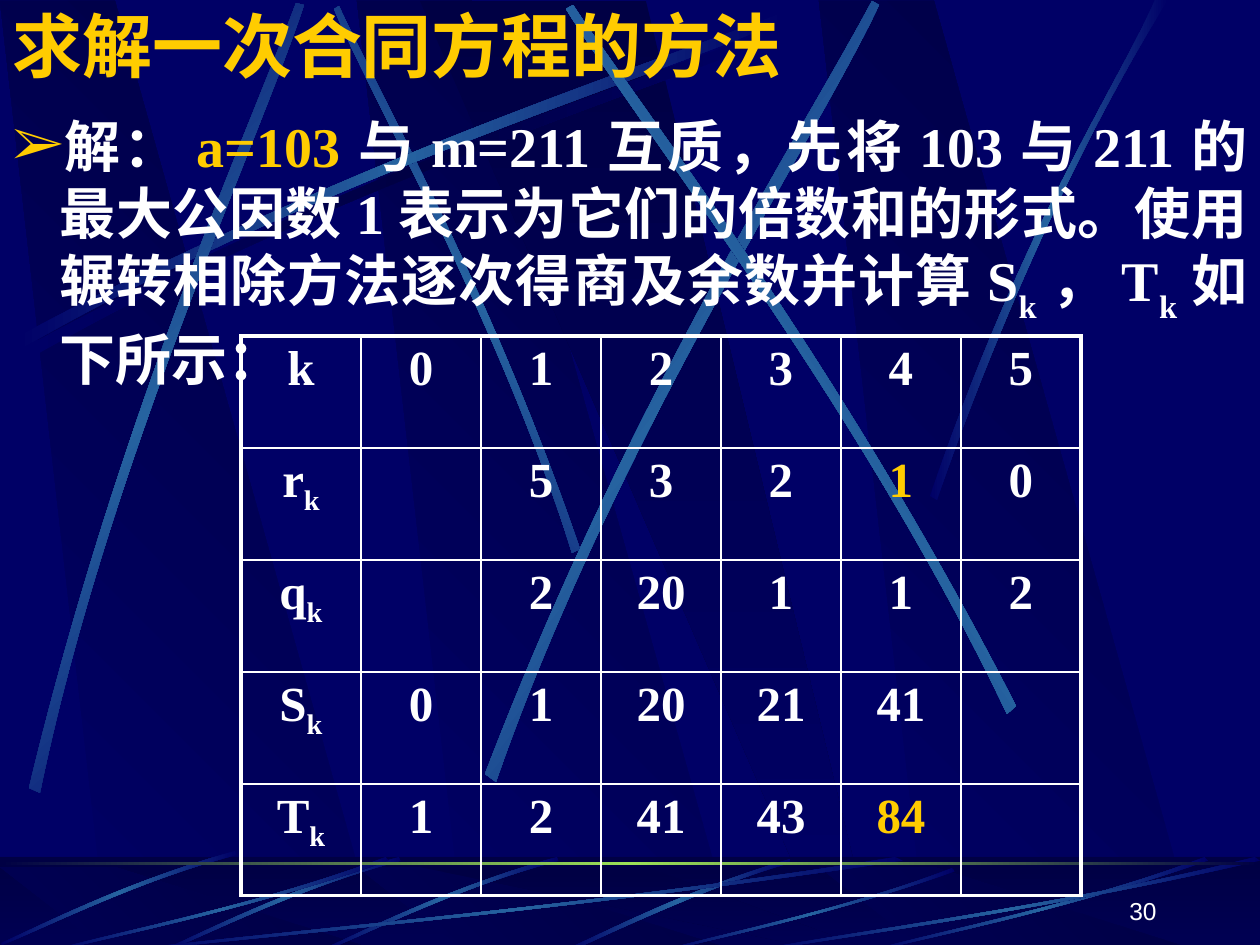
from dataclasses import dataclass
from typing import NamedTuple

import lxml.etree
import pptx
import pptx.dml.color
import pptx.enum.shapes
import pptx.enum.text
import pptx.oxml.ns
import pptx.util

EMU_PER_PX = 914400 / 126
COLORS = {"navy": "000066", "dark": "000044", "blue": "2663A0", "lime": "9CE157",
          "gold": "FFCC00", "white": "FFFFFF"}
SERIF = "Times New Roman"
SANS = "Noto Sans CJK SC"
DUSK = ("navy", "dark")
GLOW = ("navy", "blue", "navy")
ALIGN = pptx.enum.text.PP_ALIGN
ANCHOR = pptx.enum.text.MSO_ANCHOR
qn = pptx.oxml.ns.qn


class Box(NamedTuple):
    left: int
    top: int
    width: int
    height: int


class Piece(NamedTuple):
    text: str
    color: str = "white"
    baseline: int = 0


@dataclass
class Ribbon:
    outer: list
    inner: list
    angle: float = 0
    colors: tuple = GLOW

    def moved(self, dx: int, dy: int, colors: tuple = GLOW) -> "Ribbon":
        outer, inner = ([(x + dx, y + dy) for x, y in side] for side in (self.outer, self.inner))
        return Ribbon(outer, inner, self.angle, colors)


HIGH_BEAM = Ribbon([(25, 347), (358, 169), (660, 74), (789, 23)],
                   [(793, 30), (665, 87), (320, 190), (29, 359)], 0, ("navy", "dark", "navy"))
BEAMS = [
    HIGH_BEAM,
    Ribbon([(580, 549), (493, 295), (381, 97), (339, 6)],
           [(334, 9), (372, 100), (501, 325), (572, 553)], 315),
    HIGH_BEAM.moved(-8, -10),
    Ribbon([(29, 788), (117, 421), (248, 132), (296, 3)],
           [(304, 5), (261, 137), (108, 464), (40, 793)], 48.3),
    Ribbon([(485, 774), (627, 403), (804, 129), (872, 1)],
           [(879, 5), (818, 136), (612, 447), (496, 782)], 38.4),
    Ribbon([(1016, 706), (844, 369), (650, 120), (573, 5)],
           [(566, 9), (639, 127), (863, 410), (1007, 714)], 325.3),
    Ribbon([(930, 496), (1026, 218), (1119, 83), (1155, 0)],
           [(1168, 0), (1053, 183), (969, 406), (937, 500)]),
]
FLOOR_BEAM = Ribbon([(557, 857), (447, 888), (362, 932), (323, 949)],
                    [(324, 951), (363, 936), (460, 886), (559, 861)])
FLOOR_BEAMS = [
    Ribbon([(790, 859), (677, 893), (601, 935), (564, 950)],
           [(571, 951), (617, 930), (719, 882), (791, 863)]),
    FLOOR_BEAM, FLOOR_BEAM.moved(-158, 0), FLOOR_BEAM.moved(-322, -6),
]
SWEEP_OUTER = [(1, 0.04), (0.57, 0.57), (0.17, 0.85), (0.01, 1)]
SWEEP_INNER = [(0, 0.99), (0.17, 0.81), (0.62, 0.51), (0.99, 0)]
SWEEP_BOXES = [Box(126, 857, 777, 94), Box(53, 857, 336, 94), Box(664, 868, 291, 83),
               Box(872, 857, 336, 94), Box(756, 857, 504, 94)]
PANEL_LEFTS = (357, 0, 819)
FLOOR = Box(0, 857, 1260, 94)
BODY = [Piece("解："), Piece("a=103", "gold"),
        Piece("与m=211互质，先将103与211的最大公因数1表示为它们的倍数和的形式。"
              "使用辗转相除方法逐次得商及余数并计算S"),
        Piece("k", baseline=-30), Piece("，T"), Piece("k", baseline=-30), Piece("如下所示：")]
ROWS = [("k", "0", "1", "2", "3", "4", "5"),
        ("rk", "", "5", "3", "2", "1", "0"),
        ("qk", "", "2", "20", "1", "1", "2"),
        ("Sk", "0", "1", "20", "21", "41", ""),
        ("Tk", "1", "2", "41", "43", "84", "")]
GOLD_CELLS = {(1, 5), (4, 5)}


def px(value: float) -> int:
    return round(value * EMU_PER_PX)


def rgb(name: str) -> pptx.dml.color.RGBColor:
    return pptx.dml.color.RGBColor.from_string(COLORS[name])


def add_color(parent, name: str):
    return lxml.etree.SubElement(parent, qn("a:srgbClr"), val=COLORS[name])


def paint(shape, colors: tuple, angle: float) -> None:
    shape.shadow.inherit = False
    shape.line.fill.background()
    shape.fill.gradient()
    gradient = shape._element.spPr.find(qn("a:gradFill"))
    stops = gradient.find(qn("a:gsLst"))
    for stop in list(stops):
        stops.remove(stop)
    for index, name in enumerate(colors):
        position = str(100000 * index // (len(colors) - 1))
        add_color(lxml.etree.SubElement(stops, qn("a:gs"), pos=position), name)
    gradient.find(qn("a:lin")).set("ang", str(round(angle * 60000)))


def add_outline(slide, points: list, colors: tuple, angle: float):
    corners = [(px(x), px(y)) for x, y in points]
    builder = slide.shapes.build_freeform(*corners[0], scale=1.0)
    builder.add_line_segments(corners[1:], close=True)
    shape = builder.convert_to_shape()
    paint(shape, colors, angle)
    return shape


def add_ribbon(slide, ribbon: Ribbon) -> None:
    shape = add_outline(slide, ribbon.outer + ribbon.inner, ribbon.colors, ribbon.angle)
    segments = list(shape._element.spPr.iter(qn("a:lnTo")))
    for controls in (segments[0:3], segments[4:7]):
        bezier = lxml.etree.Element(qn("a:cubicBezTo"))
        controls[0].addprevious(bezier)
        for segment in controls:
            bezier.append(segment[0])
            segment.getparent().remove(segment)


def sweep(box: Box) -> Ribbon:
    outer, inner = ([(box.left + x * box.width, box.top + y * box.height) for x, y in side]
                    for side in (SWEEP_OUTER, SWEEP_INNER))
    return Ribbon(outer, inner)


def add_panels(slide, top: int, bottom: int) -> None:
    for left in PANEL_LEFTS:
        add_outline(slide, [(left + 108, bottom), (left + 380, bottom), (left + 115, top),
                            (left, top)], DUSK, 315)
    add_outline(slide, [(420, top), (829, bottom), (874, bottom), (646, top)], DUSK[::-1], 90)


def add_rectangle(slide, box: Box, colors: tuple, angle: float):
    shape = slide.shapes.add_shape(pptx.enum.shapes.MSO_SHAPE.RECTANGLE, *map(px, box))
    paint(shape, colors, angle)
    return shape


def write(paragraph, pieces: list, size: int, font: str, bold: bool = True) -> None:
    for piece in pieces:
        run = paragraph.add_run()
        run.text = piece.text
        run.font.size = pptx.util.Pt(size)
        run.font.bold = bold
        run.font.name = font
        run.font.color.rgb = rgb(piece.color)
        properties = run._r.get_or_add_rPr()
        lxml.etree.SubElement(properties, qn("a:ea"), typeface=SANS)
        if piece.baseline:
            properties.set("baseline", str(piece.baseline * 1000))


def add_text(slide, box: Box, anchor, align):
    text_frame = slide.shapes.add_textbox(*map(px, box)).text_frame
    text_frame.word_wrap = True
    text_frame.vertical_anchor = anchor
    paragraph = text_frame.paragraphs[0]
    paragraph.alignment = align
    return paragraph


def add_bullet(paragraph, character: str, color: str, indent: int) -> None:
    properties = paragraph._p.get_or_add_pPr()
    properties.set("marL", str(px(indent)))
    properties.set("indent", str(px(-indent)))
    add_color(lxml.etree.SubElement(properties, qn("a:buClr")), color)
    lxml.etree.SubElement(properties, qn("a:buFont"), typeface=SERIF)
    lxml.etree.SubElement(properties, qn("a:buChar"), char=character)


def set_borders(cell, outer_sides: dict) -> None:
    properties = cell._tc.get_or_add_tcPr()
    for side, is_outer in outer_sides.items():
        width = pptx.util.Pt(2.25 if is_outer else 1)
        line = lxml.etree.SubElement(properties, qn(f"a:ln{side}"), w=str(width))
        add_color(lxml.etree.SubElement(line, qn("a:solidFill")), "white")


def add_division_table(slide) -> None:
    last_row, last_column = len(ROWS) - 1, len(ROWS[0]) - 1
    box = Box(241, 336, 120 * len(ROWS[0]), 112 * len(ROWS))
    table = slide.shapes.add_table(len(ROWS), len(ROWS[0]), *map(px, box)).table
    table.first_row = table.horz_banding = False
    for r, values in enumerate(ROWS):
        for c, value in enumerate(values):
            cell = table.cell(r, c)
            set_borders(cell, {"L": c == 0, "R": c == last_column, "T": r == 0, "B": r == last_row})
            cell.fill.background()
            paragraph = cell.text_frame.paragraphs[0]
            paragraph.alignment = ALIGN.CENTER
            color = "gold" if (r, c) in GOLD_CELLS else "white"
            pieces = [Piece(value, color)] if value else []
            if c == 0 and r > 0:
                pieces = [Piece(value[0]), Piece(value[1], baseline=-25)]
            write(paragraph, pieces, 28, SERIF)


def main() -> None:
    presentation = pptx.Presentation()
    presentation.slide_width, presentation.slide_height = px(1260), px(945)
    slide = presentation.slides.add_slide(presentation.slide_layouts[6])
    slide.background.fill.solid()
    slide.background.fill.fore_color.rgb = rgb("navy")

    add_panels(slide, 1, 946)
    for beam in BEAMS:
        add_ribbon(slide, beam)
    add_rectangle(slide, FLOOR, DUSK[::-1], 90)
    add_panels(slide, 867, 951)
    shade = add_rectangle(slide, FLOOR, DUSK, 0)
    shade.fill.solid()
    shade.fill.fore_color.rgb = rgb("dark")
    shade_color = shade._element.spPr.find(qn("a:solidFill"))[0]
    lxml.etree.SubElement(shade_color, qn("a:alpha"), val="50000")
    for ribbon in FLOOR_BEAMS + [sweep(box) for box in SWEEP_BOXES]:
        add_ribbon(slide, ribbon)
    add_rectangle(slide, Box(0, 862, 1260, 3), ("dark", "lime", "dark"), 0)

    title = add_text(slide, Box(0, -4, 1068, 97), ANCHOR.MIDDLE, ALIGN.LEFT)
    write(title, [Piece("求解一次合同方程的方法", "gold")], 40, SANS)
    body = add_text(slide, Box(0, 105, 1260, 840), ANCHOR.TOP, ALIGN.JUSTIFY)
    add_bullet(body, "➢", "gold", 47)
    write(body, BODY, 32, SERIF)
    add_division_table(slide)
    number = add_text(slide, Box(907, 869, 262, 63), ANCHOR.BOTTOM, ALIGN.RIGHT)
    write(number, [Piece("30")], 14, "Arial", bold=False)
    presentation.save("out.pptx")


if __name__ == "__main__":
    main()
